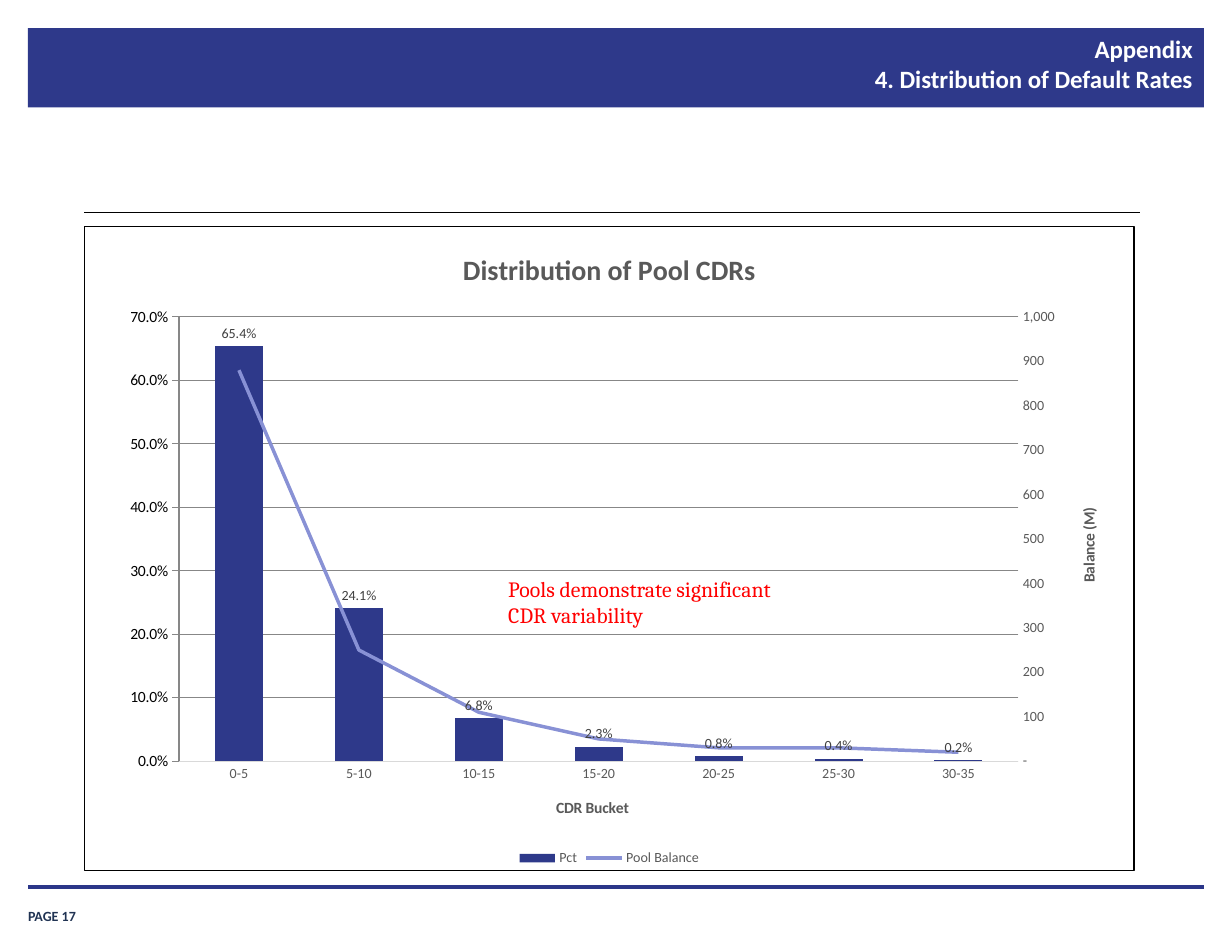
from copy import deepcopy

from pptx import Presentation
from pptx.chart.axis import ValueAxis
from pptx.chart.data import CategoryChartData
from pptx.dml.color import RGBColor
from pptx.enum.chart import (XL_CHART_TYPE, XL_LABEL_POSITION, XL_LEGEND_POSITION,
                             XL_MARKER_STYLE, XL_TICK_MARK)
from pptx.enum.shapes import MSO_CONNECTOR, MSO_SHAPE
from pptx.enum.text import MSO_ANCHOR, MSO_AUTO_SIZE, PP_ALIGN
from pptx.oxml import parse_xml
from pptx.oxml.ns import nsdecls
from pptx.util import Inches, Pt

COLUMN = XL_CHART_TYPE.COLUMN_CLUSTERED
OUTSIDE_END = XL_LABEL_POSITION.OUTSIDE_END
LEGEND_BOTTOM = XL_LEGEND_POSITION.BOTTOM
NO_MARKER = XL_MARKER_STYLE.NONE
NO_TICK = XL_TICK_MARK.NONE
STRAIGHT = MSO_CONNECTOR.STRAIGHT
RECTANGLE = MSO_SHAPE.RECTANGLE
TOP, BOTTOM = MSO_ANCHOR.TOP, MSO_ANCHOR.BOTTOM
FIXED, GROW = MSO_AUTO_SIZE.NONE, MSO_AUTO_SIZE.SHAPE_TO_FIT_TEXT
LEFT, RIGHT = PP_ALIGN.LEFT, PP_ALIGN.RIGHT

COLORS = {
    "navy": "2E398A", "rule": "2B3689", "page": "203353", "periwinkle": "8891D5",
    "black": "000000", "white": "FFFFFF", "red": "FF0000",
    "gray": "595959", "label": "404040", "grid": "D9D9D9",
}
BUCKETS = ["0-5", "5-10", "10-15", "15-20", "20-25", "25-30", "30-35"]
PERCENTS = [0.654, 0.241, 0.068, 0.023, 0.008, 0.004, 0.002]
BALANCES = [880, 250, 110, 50, 30, 30, 20]
PLOT_AREA = {"x": 0.09, "y": 0.14, "w": 0.8, "h": 0.69}


class SlideBuilder:
    def __init__(self, page, font_name="Calibri"):
        self.page = page
        self.font_name = font_name

    def color(self, name):
        return RGBColor.from_string(COLORS[name])

    def style(self, font, size, color, bold=False, name=None):
        font.name = name or self.font_name
        font.size = Pt(size)
        font.bold = bold
        font.color.rgb = self.color(color)

    def stroke(self, line, color, width):
        line.color.rgb = self.color(color)
        line.width = Pt(width)

    def fill_text(self, box, text, size, color, bold=False, name=None,
                  margins=(0.1, 0.05), anchor=TOP, align=LEFT, fit=FIXED):
        frame = box.text_frame
        frame.text = text
        frame.word_wrap = True
        frame.auto_size = fit
        frame.vertical_anchor = anchor
        frame.margin_left = frame.margin_right = Inches(margins[0])
        frame.margin_top = frame.margin_bottom = Inches(margins[1])
        para = frame.paragraphs[0]
        para.alignment = align
        for span in para.runs:
            self.style(span.font, size, color, bold, name)
        return para

    def band(self, left, top, width, height, color):
        box = self.page.shapes.add_shape(
            RECTANGLE, Inches(left), Inches(top), Inches(width), Inches(height))
        box.shadow.inherit = False
        box.fill.solid()
        box.fill.fore_color.rgb = self.color(color)
        box.line.fill.background()

    def title(self, text, left, top, width, height):
        """Place the title in front of everything added so far."""
        box = self.page.shapes.title
        box.left, box.top = Inches(left), Inches(top)
        box.width, box.height = Inches(width), Inches(height)
        self.fill_text(box, text, 16, "white", True, margins=(0.11, 0.06), align=RIGHT)
        box.element.getparent().append(box.element)

    def text(self, text, left, top, width, height, **options):
        box = self.page.shapes.add_textbox(
            Inches(left), Inches(top), Inches(width), Inches(height))
        return self.fill_text(box, text, **options)

    def rule(self, left, right, top, color, width):
        line = self.page.shapes.add_connector(
            STRAIGHT, Inches(left), Inches(top), Inches(right), Inches(top))
        self.stroke(line.line, color, width)
        line.element.spPr.append(parse_xml(f"<a:effectLst {nsdecls('a')}/>"))

    def format_axis(self, axis, title, upright=False):
        frame = axis.axis_title.text_frame
        frame.text = title
        self.style(frame.paragraphs[0].runs[0].font, 10, "gray", True)
        if upright:
            body = axis.axis_title.element.xpath(".//a:bodyPr")[0]
            body.set("rot", "-5400000")
            body.set("vert", "horz")
        axis.major_tick_mark = axis.minor_tick_mark = NO_TICK
        self.style(axis.tick_labels.font, 9, "gray")

    def format_value_axis(self, axis, title, maximum, step, number_format):
        self.format_axis(axis, title, upright=True)
        axis.minimum_scale, axis.maximum_scale, axis.major_unit = 0, maximum, step
        axis.tick_labels.number_format = number_format
        axis.tick_labels.number_format_is_linked = False
        axis.format.line.fill.background()

    def move_last_series_to_line(self, chart):
        """Draw the last series as a line and return its own right-hand axis."""
        bars = chart.element.xpath(".//c:barChart")[0]
        series = bars.xpath("c:ser")[-1]
        for unused in series.xpath("c:invertIfNegative"):
            series.remove(unused)
        lines = parse_xml(
            f'<c:lineChart {nsdecls("c")}><c:grouping val="standard"/>'
            '<c:varyColors val="0"/><c:marker val="1"/>'
            '<c:axId val="5001"/><c:axId val="5002"/></c:lineChart>')
        lines.insert(2, series)
        bars.addnext(lines)

        categories = deepcopy(chart.category_axis._element)
        values = deepcopy(chart.value_axis._element)
        for axis, own, other in ((categories, "5001", "5002"), (values, "5002", "5001")):
            axis.xpath("c:axId")[0].set("val", own)
            axis.xpath("c:crossAx")[0].set("val", other)
        categories.xpath("c:delete")[0].set("val", "1")
        values.xpath("c:axPos")[0].set("val", "r")
        values.xpath("c:crosses")[0].set("val", "max")
        chart.value_axis._element.addnext(values)
        values.addnext(categories)
        right_axis = ValueAxis(values)
        right_axis.has_major_gridlines = False
        return right_axis

    def fix_plot_area(self, chart):
        area = chart.element.xpath(".//c:plotArea")[0]
        for layout in area.xpath("c:layout"):
            area.remove(layout)
        sizes = "".join(f'<c:{key} val="{value}"/>' for key, value in PLOT_AREA.items())
        area.insert(0, parse_xml(
            f'<c:layout {nsdecls("c")}><c:manualLayout><c:layoutTarget val="inner"/>'
            f'<c:xMode val="edge"/><c:yMode val="edge"/>{sizes}'
            '</c:manualLayout></c:layout>'))

    def default_rate_chart(self, left, top, width, height):
        data = CategoryChartData()
        data.categories = BUCKETS
        data.add_series("Pct", PERCENTS, "0.0%")
        data.add_series("Pool Balance", BALANCES, "#,##0")
        chart = self.page.shapes.add_chart(
            COLUMN, Inches(left), Inches(top), Inches(width), Inches(height), data).chart
        self.style(chart.font, 10, "black")
        chart.element.xpath("c:txPr")[0].addprevious(parse_xml(
            f'<c:spPr {nsdecls("c", "a")}><a:noFill/><a:ln w="9525"><a:solidFill>'
            f'<a:srgbClr val="{COLORS["black"]}"/></a:solidFill></a:ln></c:spPr>'))
        chart.has_title = True
        chart.chart_title.text_frame.text = "Distribution of Pool CDRs"
        heading = chart.chart_title.text_frame.paragraphs[0].runs[0]
        self.style(heading.font, 18, "gray", True)
        chart.has_legend = True
        chart.legend.position = LEGEND_BOTTOM
        chart.legend.include_in_layout = False
        self.style(chart.legend.font, 9, "gray")

        right_axis = self.move_last_series_to_line(chart)
        self.format_axis(chart.category_axis, "CDR Bucket")
        self.stroke(chart.category_axis.format.line, "grid", 0.75)
        self.format_value_axis(chart.value_axis, "Percent of Total", 0.7, 0.1, "0%")
        self.stroke(chart.value_axis.major_gridlines.format.line, "grid", 0.75)
        self.format_value_axis(right_axis, "Balance (M)", 1000, 100, '#,##0;-#,##0;"-"')
        self.fix_plot_area(chart)

        bars, lines = chart.plots
        bars.vary_by_categories = False
        bars.gap_width, bars.overlap = 150, -27
        percent = bars.series[0]
        percent.format.fill.solid()
        percent.format.fill.fore_color.rgb = self.color("navy")
        labels = percent.data_labels
        labels.show_value = True
        labels.position = OUTSIDE_END
        labels.number_format, labels.number_format_is_linked = "0.0%", False
        self.style(labels.font, 9, "label")
        balance = lines.series[0]
        balance.smooth = False
        balance.marker.style = NO_MARKER
        self.stroke(balance.format.line, "periwinkle", 2.25)


def main():
    deck = Presentation()
    deck.slide_width, deck.slide_height = Inches(11), Inches(8.5)
    builder = SlideBuilder(deck.slides.add_slide(deck.slide_layouts[5]))
    builder.band(0.25, 0.25, 10.5, 0.71, "navy")
    builder.text("PAGE 17", 0.25, 8.02, 0.91, 0.23, size=9, color="page", bold=True,
                 margins=(0, 0), anchor=BOTTOM)
    builder.rule(0.25, 10.75, 7.92, "rule", 2)
    builder.rule(0.75, 10.18, 1.9, "black", 0.75)
    builder.default_rate_chart(0.75, 2.02, 9.38, 5.76)
    remark = builder.text("Pools demonstrate significant CDR variability",
                          3.88, 5.09, 3.24, 0.57, size=14, color="red",
                          name="Cambria", fit=GROW)
    remark._p.get_or_add_pPr().set("marL", str(Inches(0.56)))
    builder.title("Appendix\v4. Distribution of Default Rates", 3.32, 0.24, 7.44, 0.74)
    deck.save("out.pptx")


if __name__ == "__main__":
    main()
